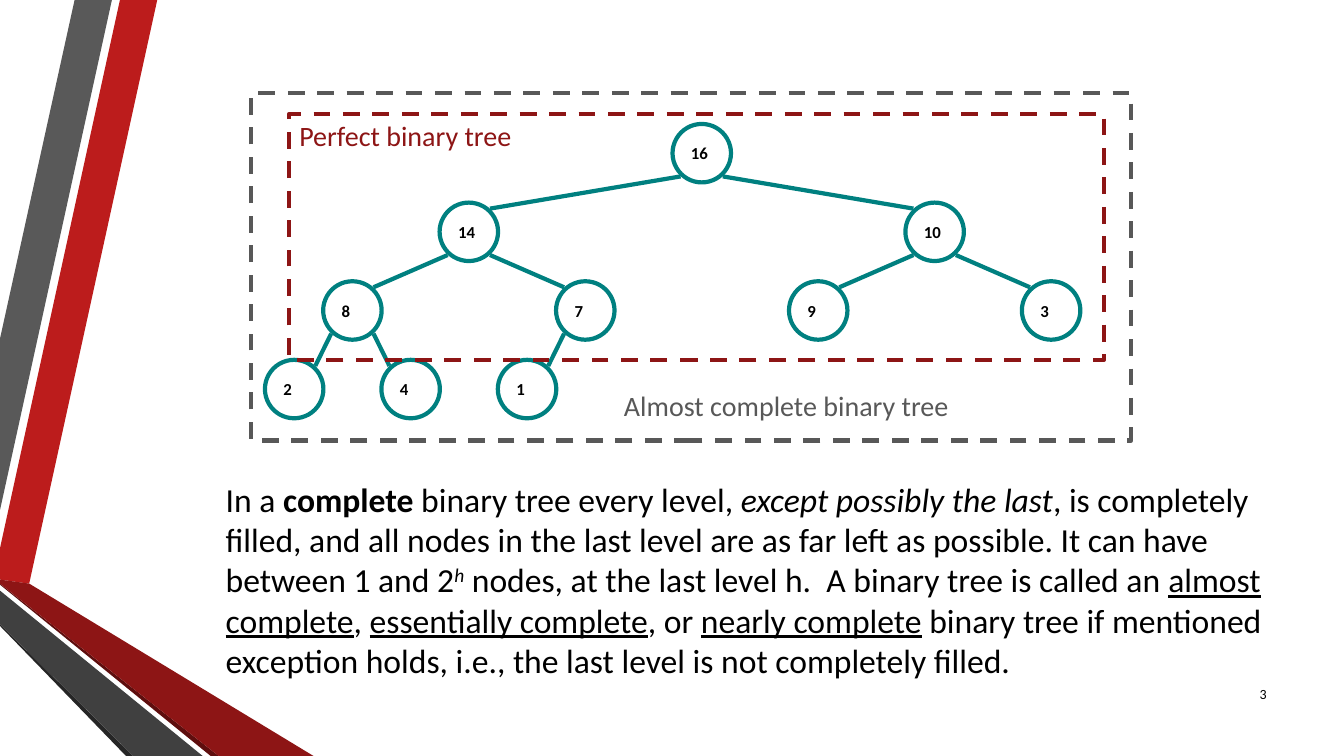
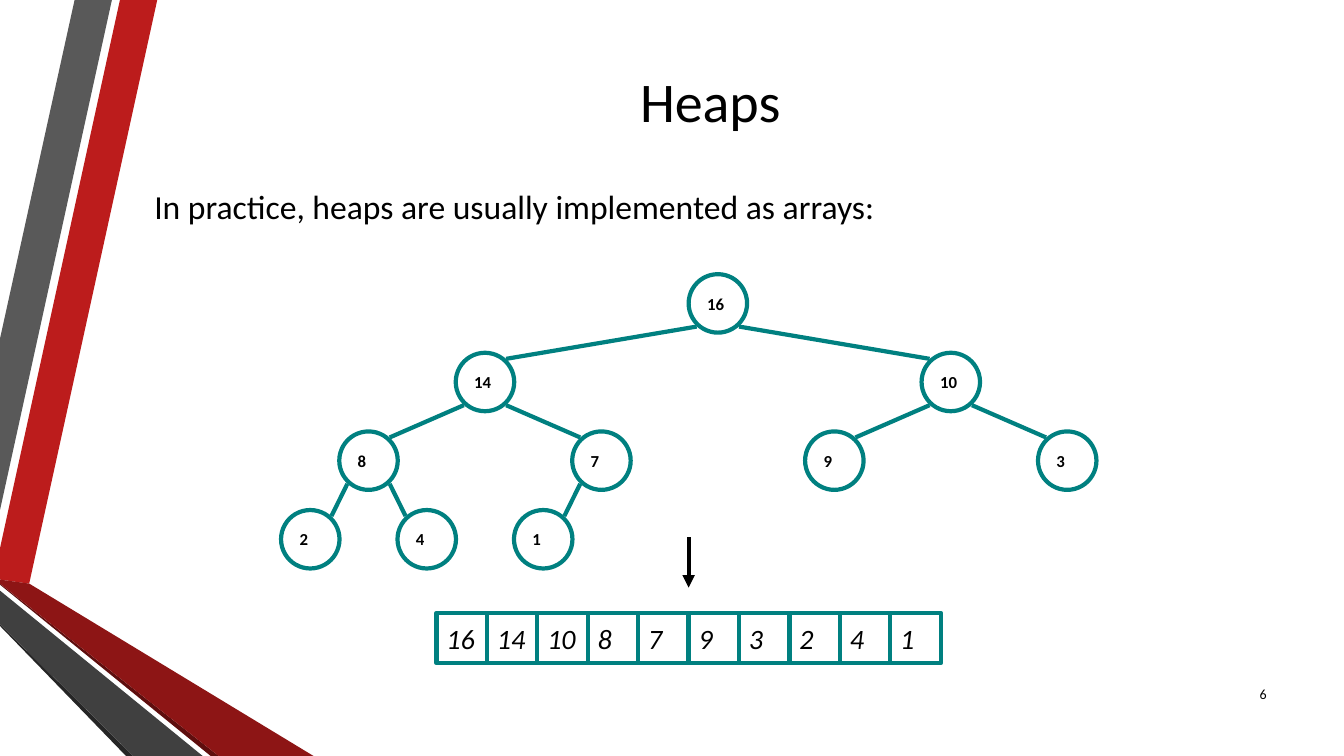
import dataclasses

import lxml.etree
import pptx
import pptx.dml.color
import pptx.enum.dml
import pptx.enum.shapes
import pptx.enum.text
import pptx.oxml.ns
import pptx.util

Inches = pptx.util.Inches
qn = pptx.oxml.ns.qn
Shape = pptx.enum.shapes.MSO_SHAPE
Align = pptx.enum.text.PP_ALIGN
Anchor = pptx.enum.text.MSO_ANCHOR


@dataclasses.dataclass(frozen=True)
class Theme:
    """Colours, font, type sizes and line weight of the deck."""
    font: str = "Calibri"
    ink: str = "000000"
    paper: str = "FFFFFF"
    teal: str = "008080"
    wine: str = "8D1515"
    grey: str = "585858"
    red: str = "BC1C1C"
    steel: str = "595959"
    dark: str = "262626"
    brown: str = "5E0E0E"
    coal: str = "404040"
    title: int = 40
    body: int = 24
    label: int = 20
    node: int = 12
    foot: int = 10
    line: int = 3


THEME = Theme()
WIDTH, HEIGHT = 13.33, 7.5
HEAP = [16, 14, 10, 8, 7, 9, 3, 2, 4, 1]
BANDS = [
    (THEME.red, [(0, 5.44), (0, 5.75), (0.29, 5.79), (1.56, 0), (1.19, 0)]),
    (THEME.steel, [(1.11, 0), (0.74, 0), (0, 3.36), (0, 5.06)]),
    (THEME.dark, [(0, 6.19), (0, 6.21), (1.25, 7.5), (1.32, 7.5)]),
    (THEME.brown, [(0, 5.79), (0, 5.8), (2.09, 7.5), (2.17, 7.5)]),
    (THEME.wine, [(0, 5.79), (2.17, 7.5), (3.11, 7.5), (0.29, 5.79), (0, 5.75)]),
    (THEME.coal, [(0, 6.19), (1.32, 7.5), (2.01, 7.5), (0, 5.86)]),
]
RULE = [
    ("In a ", ""), ("complete", "b"), (" binary tree every level, ", ""),
    ("except possibly the last", "i"),
    (", is completely filled, and all nodes in the last level are as far left"
     " as possible. It can have between 1 and 2", ""),
    ("h", "is"),
    (" nodes, at the last level h.  A binary tree is called an ", ""),
    ("almost complete", "u"), (", ", ""), ("essentially complete", "u"),
    (", or ", ""), ("nearly complete", "u"),
    (" binary tree if mentioned exception holds, i.e., the last level is not"
     " completely filled.", ""),
]


def rgb(code):
    """Return the colour for a hex code."""
    return pptx.dml.color.RGBColor.from_string(code)


def place(box):
    """Turn a box in inches into lengths."""
    return [Inches(n) for n in box]


def write(frame, runs, size, color=THEME.ink, align=Align.LEFT, wrap=True):
    """Fill a frame with one paragraph of styled runs and return it."""
    frame.word_wrap = wrap
    para = frame.paragraphs[0]
    para.alignment = align
    font = para.font
    font.name, font.size = THEME.font, pptx.util.Pt(size)
    font.color.rgb = rgb(color)
    for words, style in runs:
        run = para.add_run()
        run.text = words
        if "b" in style:
            run.font.bold = True
        if "i" in style:
            run.font.italic = True
        if "u" in style:
            run.font.underline = True
        if "s" in style:
            run._r.get_or_add_rPr().set("baseline", "30000")
    return para


def label(slide, box, runs, size, **look):
    """Add a text box and return its paragraph."""
    frame = slide.shapes.add_textbox(*place(box)).text_frame
    return write(frame, runs, size, **look)


def stroke(line, color):
    """Give a line its colour and the common weight."""
    line.color.rgb = rgb(color)
    line.width = pptx.util.Pt(THEME.line)


def cell(slide, kind, box, value, size, style):
    """Add a teal-edged shape that holds one heap value."""
    shape = slide.shapes.add_shape(kind, *place(box))
    shape.shadow.inherit = False
    shape.fill.solid()
    shape.fill.fore_color.rgb = rgb(THEME.paper)
    stroke(shape.line, THEME.teal)
    shape.text_frame.vertical_anchor = Anchor.MIDDLE
    write(shape.text_frame, [(str(value), style)], size, wrap=False)


def link(slide, start, end, color, arrow=False):
    """Draw a straight line, with an arrowhead if asked."""
    line = slide.shapes.add_connector(
        pptx.enum.shapes.MSO_CONNECTOR.STRAIGHT, *place(start + end))
    stroke(line.line, color)
    props = line._element.spPr
    if arrow:
        lxml.etree.SubElement(props.find(qn("a:ln")), qn("a:tailEnd"), type="triangle")
    lxml.etree.SubElement(props, qn("a:effectLst"))


def tree(slide, left, top, width=9.24, step=0.78, size=0.58):
    """Draw the heap as a binary tree in the given width."""
    spots = []
    for pos, value in enumerate(HEAP, 1):
        level = pos.bit_length() - 1
        x = left + (pos - 2 ** level + 0.5) * width / 2 ** level
        y = top + size / 2 + level * step
        spots.append((x, y))
        cell(slide, Shape.OVAL, (x - size / 2, y - size / 2, size, size),
             value, THEME.node, "b")
    for pos in range(1, len(spots)):
        (px, py), (x, y) = spots[(pos - 1) // 2], spots[pos]
        side = 0.21 if x > px else -0.21
        link(slide, (px + side, py + 0.23), (x - side, y - 0.23), THEME.teal)


def array(slide, left, top, size=0.5):
    """Draw the heap as a row of equal cells."""
    for pos, value in enumerate(HEAP):
        cell(slide, Shape.RECTANGLE, (left + pos * size, top, size, size),
             value, THEME.label, "i")


def frame(slide, box, color):
    """Draw a dashed outline."""
    shape = slide.shapes.add_shape(Shape.RECTANGLE, *place(box))
    shape.shadow.inherit = False
    shape.fill.background()
    stroke(shape.line, color)
    shape.line.dash_style = pptx.enum.dml.MSO_LINE.DASH


def bands(master, slide):
    """Build the side bands and move them to the master."""
    for pos, (color, points) in enumerate(BANDS):
        first, *rest = [tuple(place(point)) for point in points]
        maker = slide.shapes.build_freeform(*first)
        maker.add_line_segments(rest, close=True)
        band = maker.convert_to_shape()
        band.shadow.inherit = False
        band.fill.solid()
        band.fill.fore_color.rgb = rgb(color)
        band.line.fill.background()
        node = band._element
        node.nvSpPr.cNvPr.set("id", str(20 + pos))
        master.shapes.element.insert(2 + pos, node)


def number(slide, value):
    """Add the slide number."""
    para = label(slide, (12.04, 6.68, 0.62, 0.4), [(str(value), "")],
                 THEME.foot, align=Align.RIGHT)
    para._parent.vertical_anchor = Anchor.MIDDLE


def holder(shape, box, words, size, align, anchor):
    """Move and fill a placeholder and return its paragraph."""
    shape.left, shape.top, shape.width, shape.height = place(box)
    shape.text_frame.vertical_anchor = anchor
    return write(shape.text_frame, [(words, "")], size, align=align)


def shapes_slide(slide):
    """Fill the slide on complete binary trees."""
    tree(slide, 2.34, 1.23)
    label(slide, (2.87, 1.13, 2.35, 0.44), [("Perfect binary tree", "")],
          THEME.label, color=THEME.wine, wrap=False)
    frame(slide, (2.87, 1.13, 8.08, 2.44), THEME.wine)
    para = label(slide, (1.64, 4.7, 11.02, 2.12), RULE, THEME.body)
    para._p.get_or_add_pPr().set("marL", str(Inches(0.5)))
    frame(slide, (2.49, 0.92, 8.73, 3.45), THEME.grey)
    label(slide, (6.09, 3.81, 3.51, 0.44), [("Almost complete binary tree", "")],
          THEME.label, color=THEME.grey, wrap=False)
    number(slide, 3)


def heap_slide(slide):
    """Fill the slide on heaps as arrays."""
    title, body = slide.placeholders
    holder(title, (1.43, 0.5, 11.23, 0.99), "Heaps", THEME.title,
           Align.CENTER, Anchor.MIDDLE)
    para = holder(body, (1.43, 1.79, 11.23, 4.77),
                  "In practice, heaps are usually implemented as arrays:",
                  THEME.body, Align.LEFT, Anchor.TOP)
    para.space_after = pptx.util.Pt(6)
    props = para._p.get_or_add_pPr()
    props.set("marL", "0")
    props.set("indent", "0")
    props.insert_element_before(props.makeelement(qn("a:buNone")),
                                "a:tabLst", "a:defRPr", "a:extLst")
    array(slide, 4.33, 6.08)
    link(slide, (6.83, 5.33), (6.83, 5.83), THEME.ink, arrow=True)
    tree(slide, 2.5, 2.72)
    number(slide, 6)


def main():
    """Build and save the deck."""
    deck = pptx.Presentation()
    deck.slide_width, deck.slide_height = place((WIDTH, HEIGHT))
    first = deck.slides.add_slide(deck.slide_layouts[6])
    bands(deck.slide_master, first)
    shapes_slide(first)
    heap_slide(deck.slides.add_slide(deck.slide_layouts[1]))
    deck.save("out.pptx")


if __name__ == "__main__":
    main()
